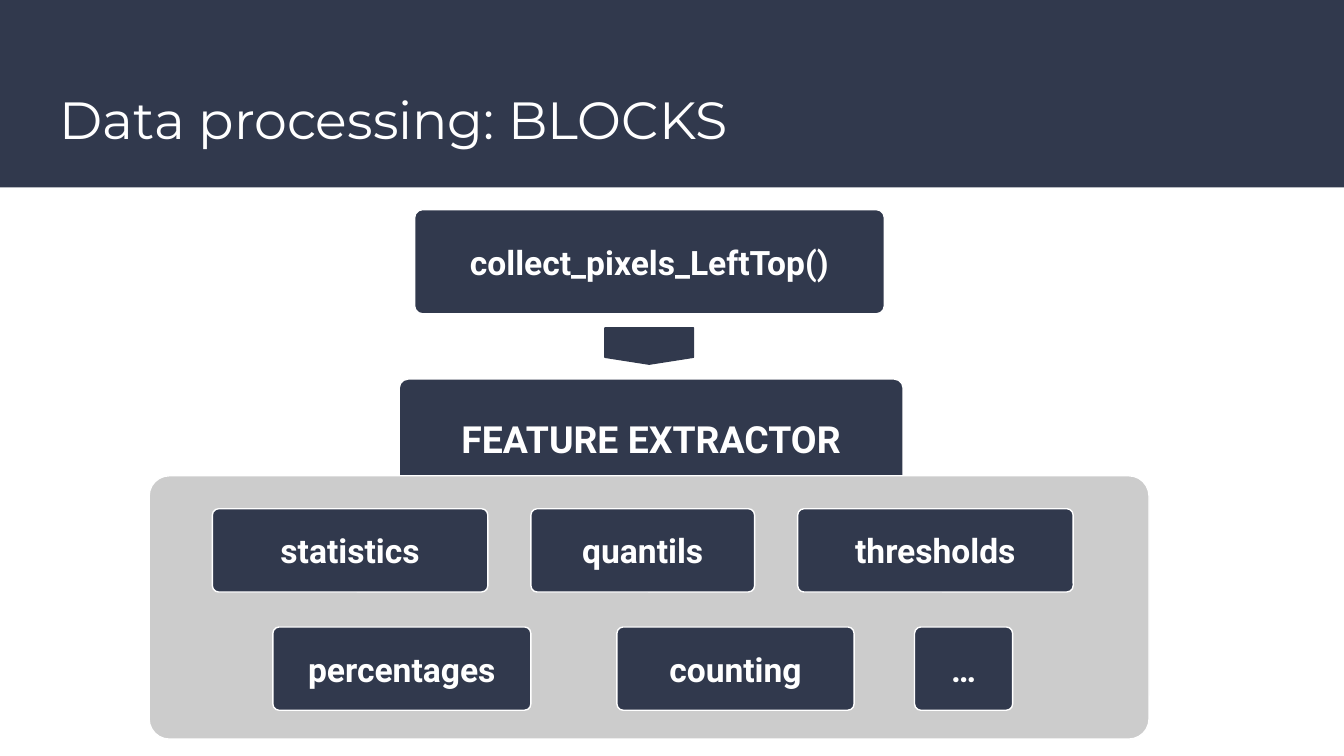
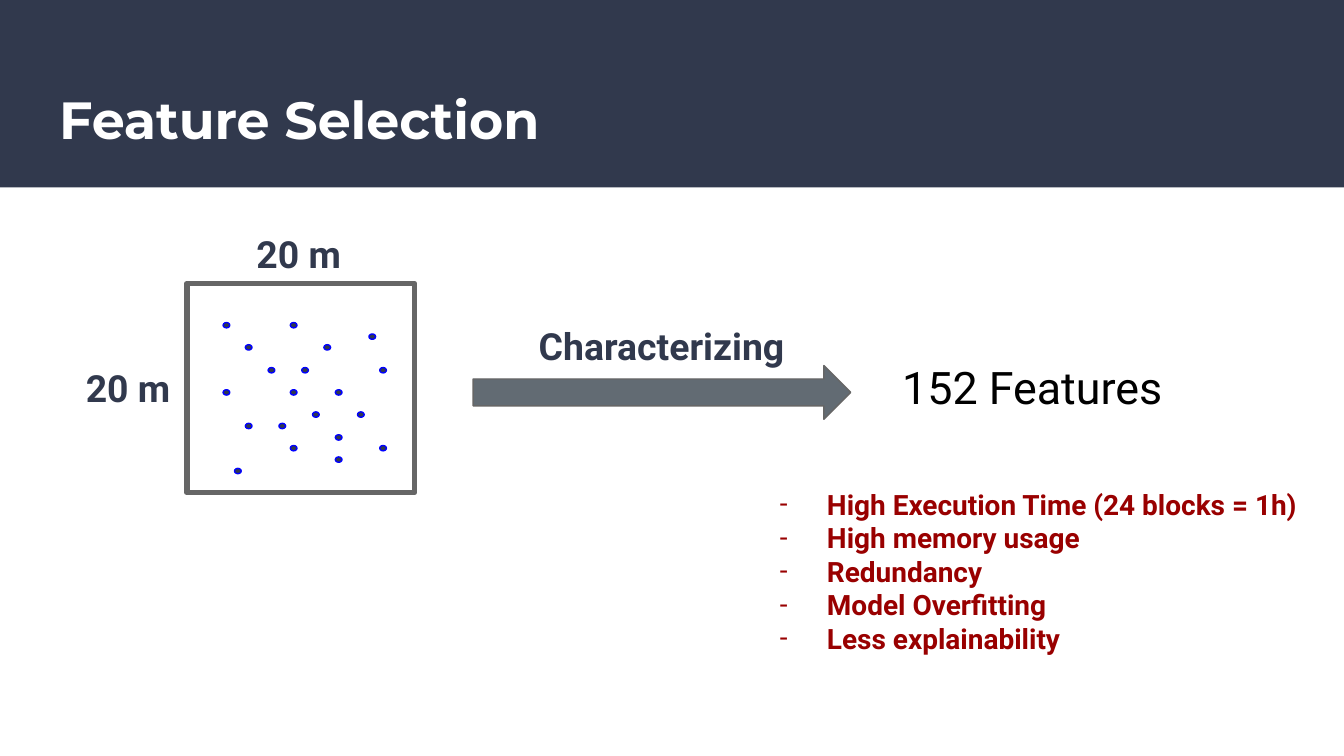
from typing import NamedTuple

from lxml.etree import SubElement
from pptx import Presentation
from pptx.dml.color import RGBColor
from pptx.enum.shapes import MSO_SHAPE
from pptx.enum.text import MSO_ANCHOR, MSO_AUTO_SIZE, PP_ALIGN
from pptx.oxml.ns import qn
from pptx.presentation import Presentation as Deck
from pptx.shapes.autoshape import Shape
from pptx.slide import Slide
from pptx.text.text import TextFrame
from pptx.util import Emu, Pt

# Scale: 200 px to the inch
INCH = 200
SCALE = 914400 // INCH
WIDTH, HEIGHT = 2000, 1125
INSET = 20

NAVY, WHITE, BLACK = "31394D", "FFFFFF", "000000"
SILVER, GRAY, SLATE = "CCCCCC", "666666", "626B73"
BLUE, RED = "0000FF", "990000"
HEAD, BODY = "Montserrat", "Roboto"
ROUND = 0.077


class Box(NamedTuple):
    left: int
    top: int
    width: int
    height: int


class Style(NamedTuple):
    size: int
    color: str = WHITE
    bold: bool = True
    font: str = BODY
    align: PP_ALIGN = PP_ALIGN.LEFT


class Block(NamedTuple):
    text: str
    box: Box
    size: int = 18


class Label(NamedTuple):
    text: str
    box: Box
    style: Style


class Dot(NamedTuple):
    col: int
    row: int


# Slide 1: boxes of the flow
STEPS = [
    Block("FEATURE EXTRACTOR", Box(594, 564, 750, 176), 20),
    Block("collect_pixels_LeftTop()", Box(617, 312, 699, 155)),
]
TRAY = Block("", Box(222, 708, 1488, 392))
PARTS = [
    Block("statistics", Box(316, 757, 410, 124)),
    Block("quantils", Box(790, 757, 333, 124)),
    Block("thresholds", Box(1187, 757, 410, 124)),
    Block("percentages", Box(406, 933, 384, 124)),
    Block("counting", Box(918, 933, 353, 124)),
    Block("…", Box(1361, 933, 146, 124)),
]

# Slide 2: labels, drawbacks and points on a grid of twelfths of an inch
MARK = Style(20, NAVY)
LABELS = [
    Label("20 m", Box(362, 324, 250, 80), MARK),
    Label("20 m", Box(108, 523, 250, 80), MARK),
    Label("Characterizing", Box(782, 461, 536, 80), MARK),
    Label("152 Features", Box(1318, 516, 436, 136),
          Style(24, BLACK, False, align=PP_ALIGN.CENTER)),
]
FLAWS = [
    "High Execution Time (24 blocks = 1h)",
    "High memory usage",
    "Redundancy",
    "Model Overfitting",
    "Less explainability",
]
DOTS = [Dot(col, row) for row, cols in {
    0: (0, 6), 1: (13,), 2: (2, 9), 4: (4, 7, 14), 6: (0, 6, 10),
    8: (8, 12), 9: (2, 5), 10: (10,), 11: (6, 14), 12: (10,), 13: (1,),
}.items() for col in cols]


def px(value: int) -> Emu:
    return Emu(value * SCALE)


def tint(code: str) -> RGBColor:
    return RGBColor.from_string(code)


def frame(box: Box) -> list[Emu]:
    return [px(side) for side in box]


def write(body: TextFrame, lines: list[str], style: Style, dash: bool = False) -> None:
    body.word_wrap = True
    body.auto_size = MSO_AUTO_SIZE.NONE
    body.margin_left = body.margin_right = px(INSET)
    body.margin_top = body.margin_bottom = px(INSET)
    for index, line in enumerate(lines):
        para = body.paragraphs[0] if index == 0 else body.add_paragraph()
        para.text = line
        para.alignment = style.align
        if dash:
            add_dash(para, style)
        para.font.name = style.font
        para.font.size = Pt(style.size)
        para.font.bold = style.bold
        para.font.color.rgb = tint(style.color)


def add_dash(para, style: Style) -> None:
    props = para._p.get_or_add_pPr()
    props.set("marL", str(px(100)))
    props.set("indent", str(px(-70)))
    SubElement(SubElement(props, qn("a:buClr")), qn("a:srgbClr"), val=style.color)
    SubElement(props, qn("a:buFont"), typeface=style.font)
    SubElement(props, qn("a:buChar"), char="-")


def draw(slide: Slide, kind: MSO_SHAPE, box: Box, fill: str,
         line: str | None = None, weight: float = 0.75) -> Shape:
    shape = slide.shapes.add_shape(kind, *frame(box))
    shape.shadow.inherit = False
    shape.fill.solid()
    shape.fill.fore_color.rgb = tint(fill)
    if line:
        shape.line.color.rgb = tint(line)
        shape.line.width = Pt(weight)
    else:
        shape.line.fill.background()
    return shape


def add_block(slide: Slide, block: Block, fill: str = NAVY) -> None:
    shape = draw(slide, MSO_SHAPE.ROUNDED_RECTANGLE, block.box, fill, WHITE)
    shape.adjustments[0] = ROUND
    if block.text:
        shape.text_frame.vertical_anchor = MSO_ANCHOR.MIDDLE
        write(shape.text_frame, [block.text],
              Style(block.size, align=PP_ALIGN.CENTER))


def add_text(slide: Slide, box: Box, lines: list[str], style: Style,
             dash: bool = False) -> None:
    write(slide.shapes.add_textbox(*frame(box)).text_frame, lines, style, dash)


def add_slide(deck: Deck, text: str, bold: bool) -> Slide:
    slide = deck.slides.add_slide(deck.slide_layouts.get_by_name("Title Only"))
    title = slide.shapes.title
    title.left, title.top, title.width, title.height = frame(Box(68, 110, 1864, 136))
    title.text_frame.vertical_anchor = MSO_ANCHOR.TOP
    write(title.text_frame, [text], Style(28, bold=bold, font=HEAD))
    return slide


def add_band(slide: Slide) -> None:
    """Draw the band and move it to the back of the shared layout."""
    band = draw(slide, MSO_SHAPE.RECTANGLE, Box(0, 0, WIDTH, 279), NAVY)
    band.element.nvSpPr.cNvPr.set("id", "99")
    slide.slide_layout.shapes.element.insert(2, band.element)


def show_blocks(deck: Deck) -> None:
    slide = add_slide(deck, "Data processing: BLOCKS", False)
    add_band(slide)
    for step in STEPS:
        add_block(slide, step)
    add_block(slide, TRAY, SILVER)
    for part in PARTS:
        add_block(slide, part)
    arrow = draw(slide, MSO_SHAPE.PENTAGON, Box(939, 449, 54, 132), NAVY, NAVY)
    arrow.adjustments[0] = 0.19
    arrow.rotation = 90


def show_choice(deck: Deck) -> None:
    slide = add_slide(deck, "Feature Selection", True)
    # Plot of land with its points
    draw(slide, MSO_SHAPE.RECTANGLE, Box(278, 422, 339, 311), WHITE, GRAY, 3)
    for dot in DOTS:
        spot = Box(332 + round(dot.col * INCH / 12),
                   480 + round(dot.row * INCH / 12), 10, 8)
        draw(slide, MSO_SHAPE.OVAL, spot, NAVY, BLUE)
    # Arrow to the features
    draw(slide, MSO_SHAPE.RIGHT_ARROW, Box(704, 544, 562, 80), SLATE, GRAY)
    for label in LABELS:
        add_text(slide, label.box, [label.text], label.style)
    add_text(slide, Box(1111, 705, 854, 202), FLAWS, Style(15, RED), dash=True)


def main() -> None:
    deck = Presentation()
    deck.slide_width, deck.slide_height = px(WIDTH), px(HEIGHT)
    show_blocks(deck)
    show_choice(deck)
    deck.save("out.pptx")


if __name__ == "__main__":
    main()
